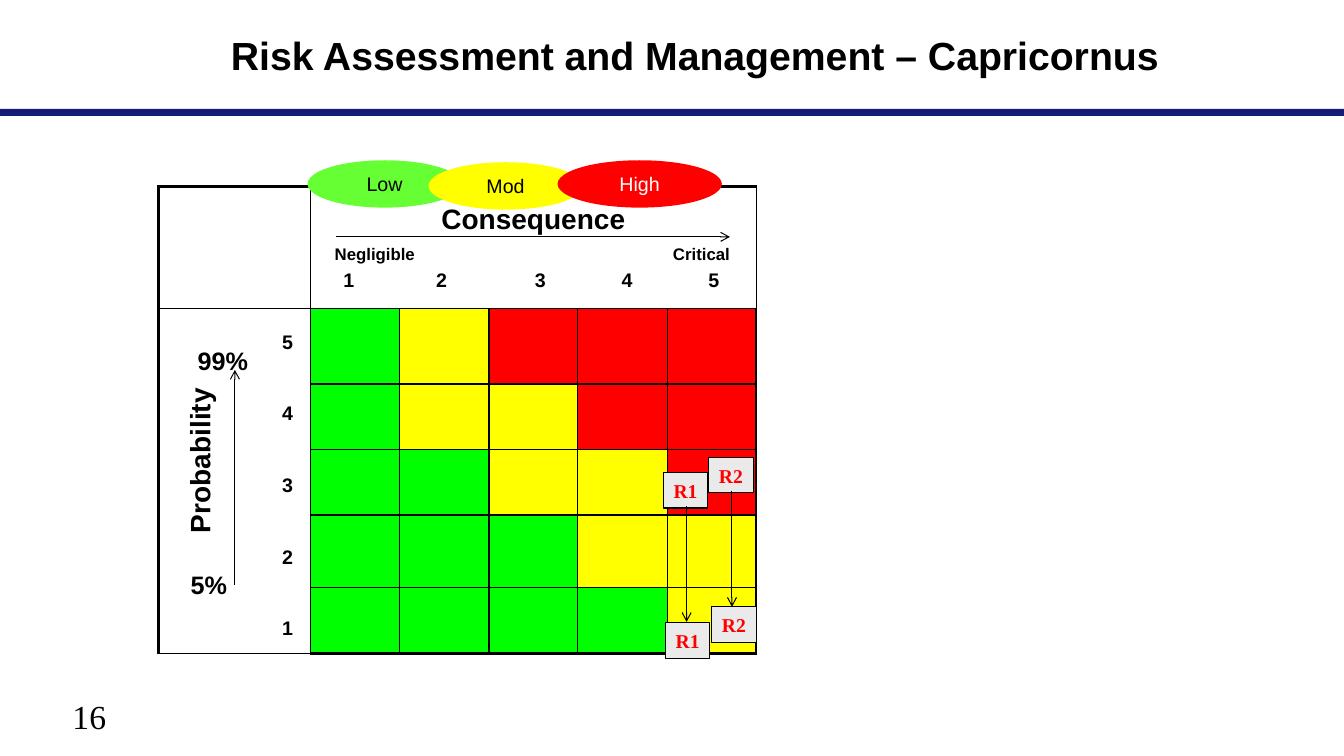
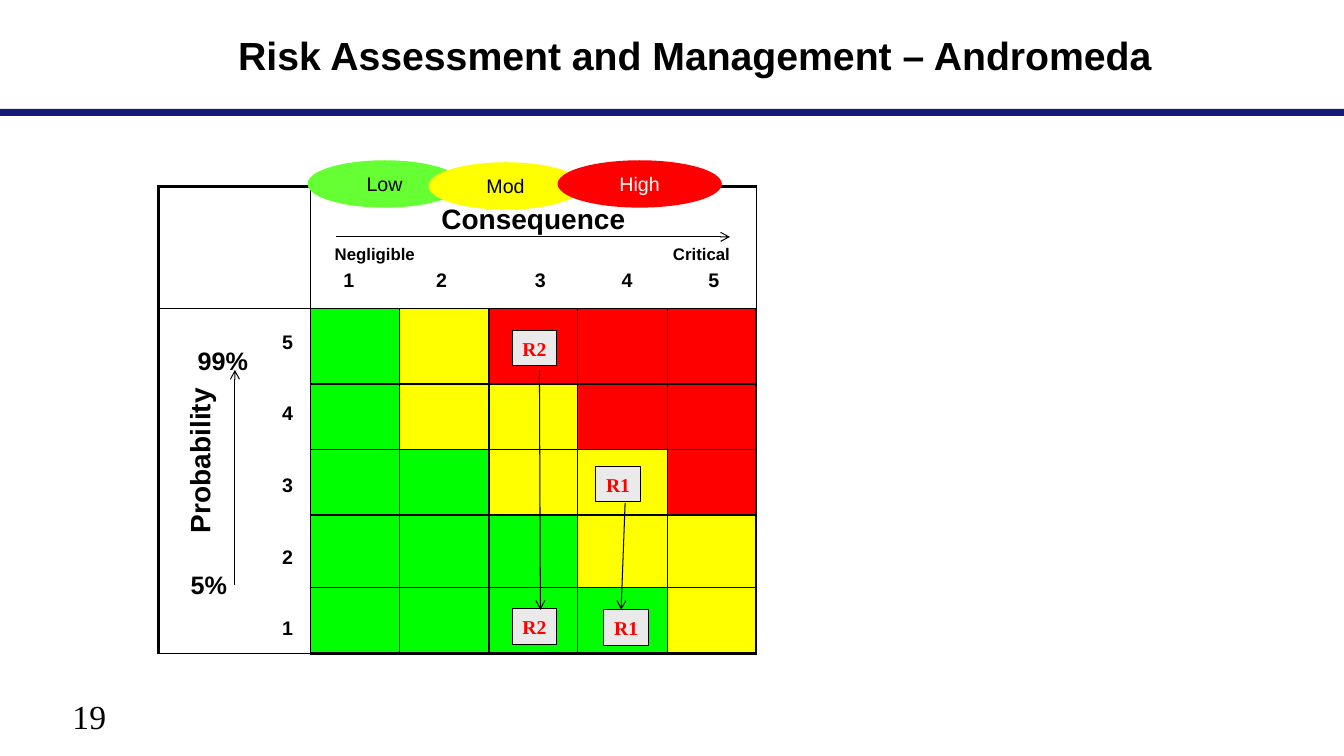
from dataclasses import dataclass

from lxml.etree import SubElement
from pptx import Presentation
from pptx.dml.color import RGBColor
from pptx.enum.shapes import MSO_CONNECTOR as Conn, MSO_SHAPE as Shape
from pptx.enum.text import MSO_ANCHOR as Anchor, PP_ALIGN as Align
from pptx.oxml.ns import qn
from pptx.util import Pt

EMU_PER_PX = 9144


@dataclass(frozen=True)
class Theme:
    black: str = "000000"
    white: str = "FFFFFF"
    navy: str = "151C77"
    green: str = "00FF00"
    lime: str = "66FF33"
    yellow: str = "FFFF00"
    red: str = "FF0000"
    tag: str = "EAEAEA"
    sans: str = "Arial"
    serif: str = "Times New Roman"
    title: int = 28
    number: int = 24
    axis: int = 20
    percent: int = 18
    label: int = 14
    small: int = 12
    thin: float = 0.75
    grid: float = 1
    frame: float = 2.25


T = Theme()
LEVELS = {"L": T.green, "M": T.yellow, "H": T.red}
MATRIX = ["LMHHH", "LMMHH", "LLMMH", "LLLMM", "LLLLM"]
COL_WIDTHS = [151, 88, 89, 88, 89, 88]
ROW_HEIGHTS = [121, 75, 65, 65, 72, 65]
SCORE_TABS = [("ctr", x) for x in (14, 106, 204, 290, 376)]
LEGEND = [
    ("Low", (305, 159, 153, 47), T.lime, T.black),
    ("Mod", (425, 161, 153, 47), T.yellow, T.black),
    ("High", (553, 159, 163, 47), T.red, T.white),
]
SLIDES = [
    ("Risk Assessment and Management – Capricornus", "16",
     [("R2", (703, 454), (706, 602), (726, 487, 726, 602)),
      ("R1", (658, 469), (660, 618), (681, 502, 681, 617))]),
    ("Risk Assessment and Management – Andromeda", "19",
     [("R1", (591, 463), (599, 605), (620, 499, 616, 605)),
      ("R2", (508, 328), (508, 604), (535, 367, 536, 605))]),
]


def px(n):
    return n * EMU_PER_PX


def place(shape, box):
    shape.left, shape.top, shape.width, shape.height = map(px, box)


def add_text(tf, text, size=T.label, font=T.sans, color=T.black, bold=False,
             align=Align.LEFT, before=0, indent=0, tabs=()):
    p = tf.add_paragraph() if tf.text else tf.paragraphs[0]
    p.alignment = align
    p.space_before = Pt(before)
    pPr = p._p.get_or_add_pPr()
    if indent:
        pPr.set("marL", str(px(indent)))
    if tabs:
        tab_list = SubElement(pPr, qn("a:tabLst"))
        for kind, x in tabs:
            SubElement(tab_list, qn("a:tab"), pos=str(px(x)), algn=kind)
    r = p.add_run()
    r.text = text
    r.font.size, r.font.name, r.font.bold = Pt(size), font, bold
    r.font.color.rgb = RGBColor.from_string(color)


def add_box(s, box, text, wrap=True, anchor=Anchor.TOP, **fmt):
    sp = s.shapes.add_textbox(*map(px, box))
    tf = sp.text_frame
    tf.word_wrap, tf.vertical_anchor = wrap, anchor
    add_text(tf, text, **fmt)
    return sp


def add_shape(s, kind, box, fill, text="", line=None, **fmt):
    sp = s.shapes.add_shape(kind, *map(px, box))
    sp.shadow.inherit = False
    sp.fill.solid()
    sp.fill.fore_color.rgb = RGBColor.from_string(fill)
    if line:
        sp.line.color.rgb = RGBColor.from_string(line)
        sp.line.width = Pt(T.thin)
    else:
        sp.line.fill.background()
    if text:
        tf = sp.text_frame
        tf.margin_left = tf.margin_right = tf.margin_top = tf.margin_bottom = 0
        tf.vertical_anchor = Anchor.MIDDLE
        add_text(tf, text, align=Align.CENTER, **fmt)


def add_arrow(s, ends):
    c = s.shapes.add_connector(Conn.STRAIGHT, *map(px, ends))
    c.line.color.rgb = RGBColor.from_string(T.black)
    c.line.width = Pt(T.thin)
    spPr = c._element.spPr
    SubElement(spPr.get_or_add_ln(), qn("a:tailEnd"), type="arrow")
    SubElement(spPr, qn("a:effectLst"))


def set_borders(cell, row, col):
    tcPr = cell._tc.get_or_add_tcPr()
    outer = {
        "L": col == 0,
        "R": col == len(COL_WIDTHS) - 1,
        "T": row == 0,
        "B": row == len(ROW_HEIGHTS) - 1,
    }
    for side, is_outer in outer.items():
        width = Pt(T.frame if is_outer else T.grid)
        ln = SubElement(tcPr, qn(f"a:ln{side}"), w=str(int(width)))
        SubElement(SubElement(ln, qn("a:solidFill")), qn("a:srgbClr"), val=T.black)


def add_matrix(s):
    size = (len(ROW_HEIGHTS), len(COL_WIDTHS))
    box = (157, 185, sum(COL_WIDTHS), sum(ROW_HEIGHTS))
    tbl = s.shapes.add_table(*size, *map(px, box)).table
    tbl.first_row = tbl.horz_banding = False
    for col, width in zip(tbl.columns, COL_WIDTHS):
        col.width = px(width)
    for i, height in enumerate(ROW_HEIGHTS):
        tbl.rows[i].height = px(height)
        for j in range(len(COL_WIDTHS)):
            cell = tbl.cell(i, j)
            set_borders(cell, i, j)
            if i and j:
                cell.fill.solid()
                cell.fill.fore_color.rgb = RGBColor.from_string(LEVELS[MATRIX[i - 1][j - 1]])
            else:
                cell.fill.background()

    head = tbl.cell(0, 1)
    head.merge(tbl.cell(0, 5))
    head.vertical_anchor = Anchor.MIDDLE
    head.margin_left = head.margin_right = px(24)
    tf = head.text_frame
    add_text(tf, "Consequence", size=T.axis, bold=True, align=Align.CENTER, before=4)
    add_text(tf, "Negligible\tCritical", size=T.small, bold=True, before=7, tabs=[("r", 392)])
    add_text(tf, "\t1\t2\t3\t4\t5", bold=True, before=4, tabs=SCORE_TABS)

    side = tbl.cell(1, 0)
    side.merge(tbl.cell(5, 0))
    side.margin_left, side.margin_top = px(32), px(39)
    add_text(side.text_frame, "99%", size=T.percent, bold=True, indent=7)
    add_text(side.text_frame, "5%", size=T.percent, bold=True, before=140)


def add_axes(s):
    sp = add_box(s, (70, 435, 255, 44), "Probability", anchor=Anchor.MIDDLE,
                 size=T.axis, bold=True, align=Align.CENTER)
    sp.rotation = 270
    for text, box, fill, color in LEGEND:
        add_shape(s, Shape.OVAL, box, fill, text, color=color)
    scores = add_box(s, (270, 322, 31, 316), "5", wrap=False, bold=True)
    for score in "4321":
        add_text(scores.text_frame, score, bold=True, before=34.4)
    add_arrow(s, (333, 235, 724, 235))
    add_arrow(s, (233, 580, 233, 367))


def add_risk(s, name, start, end, arrow):
    for corner in (start, end):
        add_shape(s, Shape.RECTANGLE, (*corner, 44, 35), T.tag, name, line=T.black,
                  font=T.serif, color=T.red, bold=True)
    add_arrow(s, arrow)


def add_slide(prs, title, number):
    s = prs.slides.add_slide(prs.slide_layouts[5])
    add_shape(s, Shape.RECTANGLE, (0, 108, 1333, 7), T.navy)
    add_box(s, (62, 685, 89, 50), number, size=T.number, font=T.serif)
    place(s.shapes.title, (157, -8, 1064, 125))
    tf = s.shapes.title.text_frame
    tf.vertical_anchor = Anchor.MIDDLE
    add_text(tf, title, size=T.title, bold=True, align=Align.CENTER)
    return s


def main():
    prs = Presentation()
    prs.slide_width, prs.slide_height = px(1333), px(750)
    for title, number, risks in SLIDES:
        s = add_slide(prs, title, number)
        add_matrix(s)
        add_axes(s)
        for risk in risks:
            add_risk(s, *risk)
    prs.save("out.pptx")


if __name__ == "__main__":
    main()
